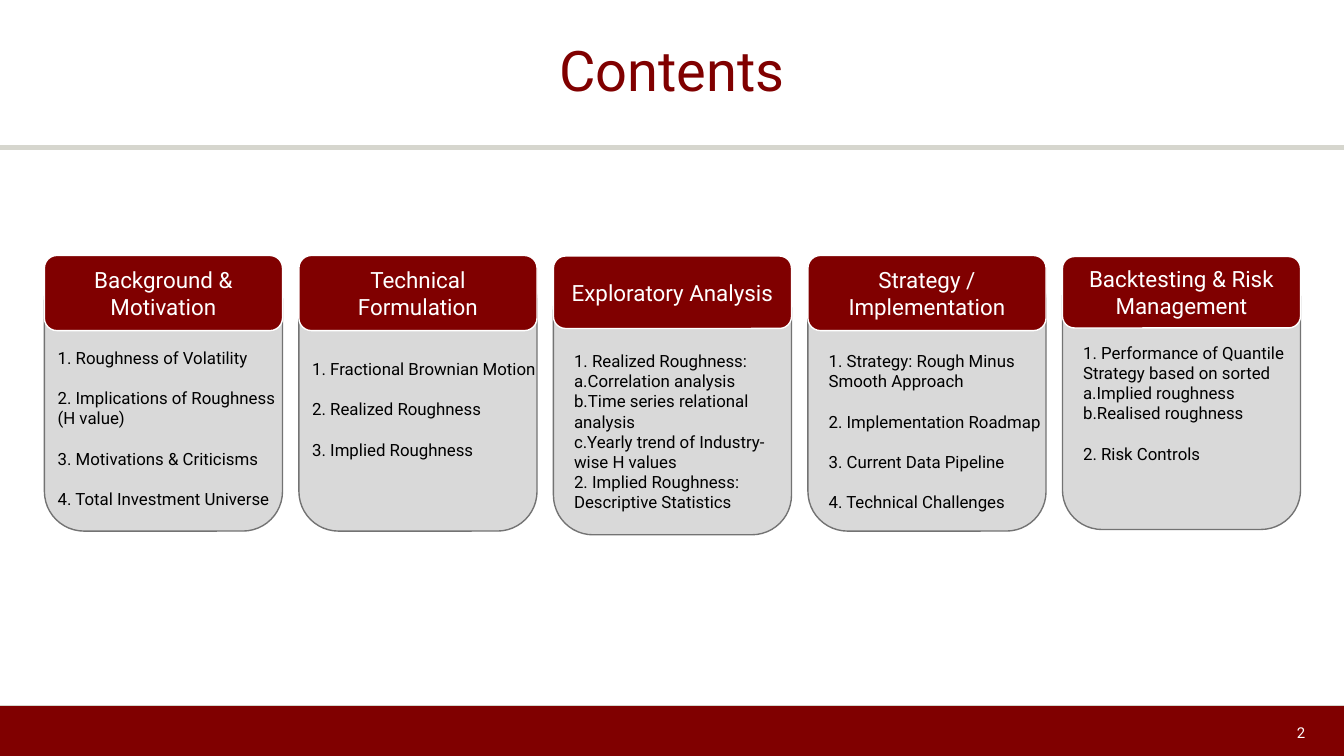
import pptx
import pptx.dml.color
import pptx.enum.shapes
import pptx.enum.text
import pptx.oxml.ns
import pptx.util
from lxml import etree

Cm = pptx.util.Cm
Pt = pptx.util.Pt
Shape = pptx.enum.shapes.MSO_SHAPE
Align = pptx.enum.text.PP_ALIGN
Anchor = pptx.enum.text.MSO_ANCHOR

# Content: a tuple inside "items" is a group of paragraphs set close together
TITLE = "Contents"
PAGE_NUMBER = "2"
# body, header: (top, height); text: (left offset, top, width, height)
CARDS = [
    {"heading": "Background & Motivation",
     "body": (4.93, 5.11), "header": (4.83, 1.42), "text": (0, 6.32, 5.18, 3.33),
     "items": [("1. Roughness of Volatility",),
               ("2. Implications of Roughness", "(H value)"),
               ("3. Motivations & Criticisms",),
               ("4. Total Investment Universe",)]},
    {"heading": "Technical Formulation",
     "body": (4.93, 5.11), "header": (4.83, 1.42), "text": (0, 6.53, 5.18, 3.33),
     "items": [("1. Fractional Brownian Motion",),
               ("2. Realized Roughness",),
               ("3. Implied Roughness",)]},
    {"heading": "Exploratory Analysis",
     "body": (5.11, 5), "header": (4.84, 1.37), "text": (0.14, 6.38, 4.34, 3.28),
     "items": [("1. Realized Roughness: a.Correlation analysis",
                "b.Time series relational analysis",
                "c.Yearly trend of Industry-wise H values",
                "2. Implied Roughness: Descriptive Statistics")]},
    {"heading": "Strategy / Implementation",
     "body": (4.93, 5.11), "header": (4.83, 1.42), "text": (0.14, 6.38, 5.18, 3.33),
     "items": [("1. Strategy: Rough Minus Smooth Approach",),
               ("2. Implementation Roadmap",),
               ("3. Current Data Pipeline",),
               ("4. Technical Challenges",)]},
    {"heading": "Backtesting & Risk Management",
     "body": (4.9, 5.11), "header": (4.85, 1.35), "text": (0.14, 6.22, 5.18, 3.2),
     "items": [("1. Performance of Quantile Strategy based on sorted a.Implied roughness",
                "b.Realised roughness"),
               ("2. Risk Controls",)]},
]

# Layout and colours
WIDTH, HEIGHT = 25.4, 14.29
FOOTER_TOP = 13.34
CARD_LEFT, CARD_STEP, CARD_WIDTH = 0.84, 4.81, 4.5
ITEM_GAP = 10.8
MAROON, WHITE, BLACK = "800000", "FFFFFF", "000000"
RULE, PANEL, PANEL_EDGE = "D6D6CE", "D9D9D9", "737373"


def color(value):
    return pptx.dml.color.RGBColor.from_string(value)


def set_all(target, values):
    for name, value in values.items():
        setattr(target, name, value)


def add_rule(top, weight):
    rule = page.shapes.add_connector(
        pptx.enum.shapes.MSO_CONNECTOR.STRAIGHT, Cm(0), Cm(top), Cm(WIDTH), Cm(top))
    rule.line.color.rgb = color(RULE)
    rule.line.width = Pt(weight)
    etree.SubElement(rule._element.spPr, pptx.oxml.ns.qn("a:effectLst"))


def add_block(kind, area, fill, edge=None):
    block = page.shapes.add_shape(kind, *map(Cm, area))
    block.shadow.inherit = False
    block.fill.solid()
    block.fill.fore_color.rgb = color(fill)
    if edge:
        block.line.color.rgb = color(edge)
        block.line.width = Pt(0.75)
    else:
        block.line.fill.background()
    return block


def write(box, groups, size, ink, align=Align.LEFT, anchor=Anchor.MIDDLE,
          inset=(0.25, 0.25), spacing=None):
    frame = box.text_frame
    set_all(frame, {"word_wrap": True, "vertical_anchor": anchor,
                    "margin_left": Cm(inset[0]), "margin_right": Cm(inset[0]),
                    "margin_top": Cm(inset[1]), "margin_bottom": Cm(inset[1])})
    lines = [(text, number > 0 and place == 0)
             for number, group in enumerate(groups)
             for place, text in enumerate(group)]
    for index, (text, gap) in enumerate(lines):
        para = frame.add_paragraph() if index else frame.paragraphs[0]
        set_all(para, {"alignment": align, "line_spacing": spacing,
                       "space_before": Pt(ITEM_GAP if gap else 0)})
        span = para.add_run()
        span.text = text
        set_all(span.font, {"name": "Roboto", "size": Pt(size)})
        span.font.color.rgb = color(ink)


def add_text(area, groups, size, ink, **options):
    write(page.shapes.add_textbox(*map(Cm, area)), groups, size, ink, **options)


deck = pptx.Presentation()
set_all(deck, {"slide_width": Cm(WIDTH), "slide_height": Cm(HEIGHT)})
page = deck.slides.add_slide(deck.slide_layouts[6])

# Title rule and footer band
add_rule(2.79, 3)
add_block(Shape.RECTANGLE, (0, FOOTER_TOP, WIDTH, HEIGHT - FOOTER_TOP), MAROON)
add_rule(FOOTER_TOP, 0.75)
add_text((23.65, 13.46, 1.27, 0.76), [(PAGE_NUMBER,)], 8, WHITE,
         align=Align.RIGHT, inset=(0.25, 0.13))

# Cards: panel, header, list
for column, card in enumerate(CARDS):
    left = CARD_LEFT + column * CARD_STEP
    top, height = card["body"]
    add_block(Shape.ROUNDED_RECTANGLE, (left, top, CARD_WIDTH, height), PANEL, PANEL_EDGE)
    top, height = card["header"]
    header = add_block(Shape.ROUNDED_RECTANGLE, (left, top, CARD_WIDTH, height), MAROON, WHITE)
    write(header, [(card["heading"],)], 12, WHITE, align=Align.CENTER)
    offset, top, width, height = card["text"]
    add_text((left + offset, top, width, height), card["items"], 9, BLACK, anchor=Anchor.TOP)

# Title
add_text((1.75, 0, 21.9, 2.77), [(TITLE,)], 30, MAROON,
         align=Align.CENTER, inset=(0, 0.13), spacing=0.9)

deck.save("out.pptx")
